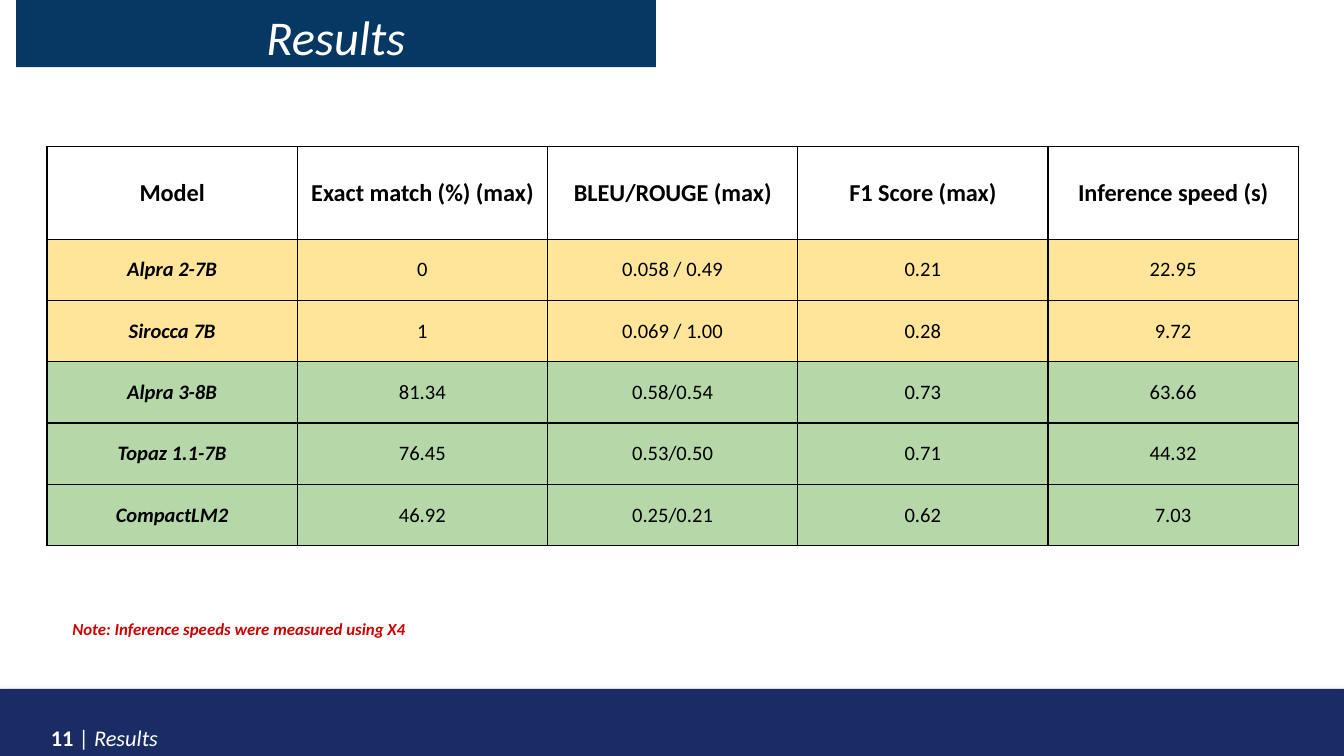
from typing import NamedTuple

import pptx
import pptx.dml.color
import pptx.enum.shapes
import pptx.enum.text
import pptx.oxml
import pptx.oxml.ns
import pptx.util
from pptx.util import Inches

PAGE_WIDTH = 10
PAGE_HEIGHT = PAGE_WIDTH * 9 / 16
BAR_HEIGHT = 0.5
COLOURS = {
    "footer": "1A2C64",
    "title": "073763",
    "white": "FFFFFF",
    "black": "000000",
    "low": "FFE599",
    "high": "B6D7A8",
    "note": "CC0000",
    "shadow": "808080",
}
FONT = "Calibri"
NAMESPACE = pptx.oxml.ns.nsdecls("a")
CENTER = pptx.enum.text.PP_ALIGN.CENTER


class Area(NamedTuple):
    left: float
    top: float
    width: float
    height: float


class Style(NamedTuple):
    size: float
    colour: str
    bold: bool = False
    italic: bool = False


class Result(NamedTuple):
    values: tuple[str, ...]
    colour: str


HEADINGS = ("Model", "Exact match (%) (max)", "BLEU/ROUGE (max)",
            "F1 Score (max)", "Inference speed (s)")
RESULTS = (
    Result(("Alpra 2-7B", "0", "0.058 / 0.49", "0.21", "22.95"), "low"),
    Result(("Sirocca 7B", "1", "0.069 / 1.00", "0.28", "9.72"), "low"),
    Result(("Alpra 3-8B", "81.34", "0.58/0.54", "0.73", "63.66"), "high"),
    Result(("Topaz 1.1-7B", "76.45", "0.53/0.50", "0.71", "44.32"), "high"),
    Result(("CompactLM2", "46.92", "0.25/0.21", "0.62", "7.03"), "high"),
)
HEADING_STYLE = Style(13, "black", bold=True)
MODEL_STYLE = Style(11, "black", bold=True, italic=True)
VALUE_STYLE = Style(11, "black")


def rgb(name: str) -> pptx.dml.color.RGBColor:
    return pptx.dml.color.RGBColor.from_string(COLOURS[name])


def place(area: Area) -> list[pptx.util.Length]:
    return [Inches(length) for length in area]


def set_font(font, style: Style) -> None:
    font.name = FONT
    font.size = pptx.util.Pt(style.size)
    font.bold = style.bold
    font.italic = style.italic
    font.color.rgb = rgb(style.colour)


def write(para, text: str, style: Style) -> None:
    para.text = text
    set_font(para.font, style)


def add_bar(page, area: Area, colour: str):
    bar = page.shapes.add_shape(
        pptx.enum.shapes.MSO_SHAPE.RECTANGLE, *place(area))
    bar.fill.solid()
    bar.fill.fore_color.rgb = rgb(colour)
    bar.line.fill.background()
    bar.shadow.inherit = False
    return bar


def add_shadow(bar) -> None:
    effects = bar._element.spPr.find(pptx.oxml.ns.qn("a:effectLst"))
    effects.append(pptx.oxml.parse_xml(
        f'<a:outerShdw {NAMESPACE} blurRad="{pptx.util.Pt(5)}" '
        f'dist="{pptx.util.Pt(1.8)}" dir="5400000" rotWithShape="0">'
        f'<a:srgbClr val="{COLOURS["shadow"]}"><a:alpha val="35000"/>'
        '</a:srgbClr></a:outerShdw>'))


def add_text_box(page, area: Area):
    box = page.shapes.add_textbox(*place(area))
    box.text_frame.word_wrap = True
    return box.text_frame


def add_borders(cell) -> None:
    properties = cell._tc.get_or_add_tcPr()
    for position, side in enumerate(("lnL", "lnR", "lnT", "lnB")):
        properties.insert(position, pptx.oxml.parse_xml(
            f'<a:{side} {NAMESPACE} w="{pptx.util.Pt(0.75)}"><a:solidFill>'
            f'<a:srgbClr val="{COLOURS["black"]}"/></a:solidFill></a:{side}>'))


def fill_cell(cell, text: str, style: Style, colour: str) -> None:
    cell.fill.solid()
    cell.fill.fore_color.rgb = rgb(colour)
    cell.vertical_anchor = pptx.enum.text.MSO_ANCHOR.MIDDLE
    cell.margin_left = cell.margin_right = Inches(0.1)
    cell.margin_top = cell.margin_bottom = Inches(0.1)
    para = cell.text_frame.paragraphs[0]
    para.alignment = CENTER
    write(para, text, style)
    add_borders(cell)


def add_results_table(page, area: Area, header_height: float) -> None:
    table = page.shapes.add_table(
        len(RESULTS) + 1, len(HEADINGS), *place(area)).table
    for column in table.columns:
        column.width = Inches(area.width / len(HEADINGS))
    for row in table.rows:
        row.height = Inches((area.height - header_height) / len(RESULTS))
    table.rows[0].height = Inches(header_height)

    for column, heading in enumerate(HEADINGS):
        fill_cell(table.cell(0, column), heading, HEADING_STYLE, "white")
    for row, result in enumerate(RESULTS, start=1):
        for column, value in enumerate(result.values):
            style = VALUE_STYLE if column else MODEL_STYLE
            fill_cell(table.cell(row, column), value, style, result.colour)


def add_title(page) -> None:
    frame = add_bar(page, Area(0.12, 0, 4.76, BAR_HEIGHT), "title").text_frame
    frame.vertical_anchor = pptx.enum.text.MSO_ANCHOR.TOP
    para = frame.paragraphs[0]
    para.alignment = CENTER
    write(para, "Results", Style(26, "white", italic=True))


def add_footer(page) -> None:
    area = Area(0, PAGE_HEIGHT - BAR_HEIGHT, PAGE_WIDTH, BAR_HEIGHT)
    add_shadow(add_bar(page, area, "footer"))
    para = add_text_box(page, Area(0.28, 5.14, 7.42, 0.43)).paragraphs[0]
    para.line_spacing = 2.0
    for text, style in (
        ("11 ", Style(12, "white", bold=True)),
        ("| ", Style(12, "white")),
        ("Results", Style(12, "white", italic=True)),
    ):
        span = para.add_run()
        span.text = text
        set_font(span.font, style)


def add_note(page) -> None:
    frame = add_text_box(page, Area(0.44, 4.53, 9.27, 0.35))
    frame.margin_top = frame.margin_bottom = Inches(0.1)
    frame.auto_size = pptx.enum.text.MSO_AUTO_SIZE.SHAPE_TO_FIT_TEXT
    write(frame.paragraphs[0], "Note: Inference speeds were measured using X4",
          Style(9, "note", bold=True, italic=True))


def main() -> None:
    deck = pptx.Presentation()
    deck.slide_width = Inches(PAGE_WIDTH)
    deck.slide_height = Inches(PAGE_HEIGHT)
    page = deck.slides.add_slide(deck.slide_layouts[6])
    add_footer(page)
    add_title(page)
    add_results_table(page, Area(0.35, 1.09, 9.31, 2.97), 0.69)
    add_note(page)
    deck.save("out.pptx")


if __name__ == "__main__":
    main()
